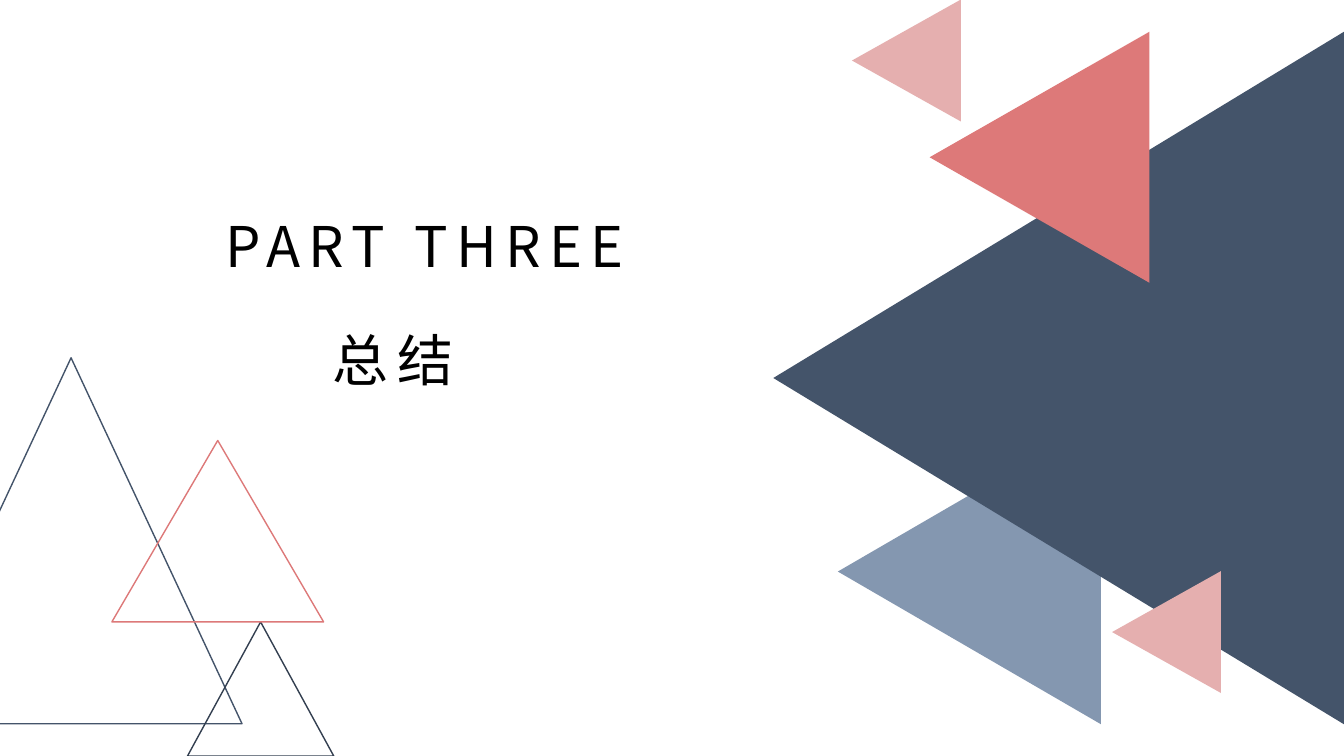
import pptx
import pptx.util
import pptx.dml.color
import pptx.enum.shapes
import pptx.enum.text
import pptx.oxml.ns
import lxml.etree

Inches = pptx.util.Inches
RGBColor = pptx.dml.color.RGBColor

NAVY = RGBColor(0x44, 0x54, 0x6A)
DARK_NAVY = RGBColor(0x33, 0x3F, 0x50)
STEEL = RGBColor(0x84, 0x97, 0xB0)
CORAL = RGBColor(0xDD, 0x79, 0x79)
BLUSH = RGBColor(0xE5, 0xAF, 0xAF)
BLACK = RGBColor(0, 0, 0)
FONT = "Noto Sans CJK SC"


def add_triangle(slide, left, top, width, height):
    triangle = slide.shapes.add_shape(
        pptx.enum.shapes.MSO_SHAPE.ISOSCELES_TRIANGLE,
        Inches(left), Inches(top), Inches(width), Inches(height))
    triangle.shadow.inherit = False
    return triangle


def add_filled_cluster(slide, left, top):
    """Solid triangles pointing left: tip x, middle y, base, depth, colour."""
    for tip, middle, base, depth, color in (
            (0.81, 5.67, 3.03, 2.61, STEEL),
            (0.17, 3.75, 6.87, 5.66, NAVY),
            (1.72, 1.56, 2.49, 2.18, CORAL),
            (0.95, 0.6, 1.21, 1.08, BLUSH),
            (3.53, 6.27, 1.21, 1.08, BLUSH)):
        # The frame is upright and turns about its centre
        triangle = add_triangle(slide, left + tip + (depth - base) / 2,
                                top + middle - depth / 2, base, depth)
        triangle.rotation = 270
        triangle.fill.solid()
        triangle.fill.fore_color.rgb = color
        triangle.line.fill.background()


def add_outline_cluster(slide, left, top):
    """Outlined triangles pointing up: x, y, width, height, colour."""
    for x, y, width, height, color in (
            (-0.99, 0, 3.39, 3.63, NAVY),
            (1.86, 2.62, 1.45, 1.33, DARK_NAVY),
            (1.11, 0.82, 2.1, 1.8, CORAL)):
        triangle = add_triangle(slide, left + x, top + y, width, height)
        triangle.fill.background()
        triangle.line.color.rgb = color
        triangle.line.width = pptx.util.Pt(1)


def fill_heading(placeholder, text, left, top, width, height):
    placeholder.left, placeholder.top = Inches(left), Inches(top)
    placeholder.width, placeholder.height = Inches(width), Inches(height)
    frame = placeholder.text_frame
    frame.word_wrap = True
    frame.auto_size = pptx.enum.text.MSO_AUTO_SIZE.NONE
    frame.vertical_anchor = pptx.enum.text.MSO_ANCHOR.TOP
    frame.margin_left = frame.margin_right = Inches(0.13)
    frame.margin_top = frame.margin_bottom = Inches(0.07)
    paragraph = frame.paragraphs[0]
    paragraph.alignment = pptx.enum.text.PP_ALIGN.LEFT
    paragraph.space_before = pptx.util.Pt(0)
    paragraph.line_spacing = 1.0
    run = paragraph.add_run()
    run.text = text
    run.font.name = FONT
    run.font.size = pptx.util.Pt(40)
    run.font.color.rgb = BLACK
    # Letter spacing and the East Asian typeface
    properties = run.font._element
    properties.set("spc", "600")
    east_asian = lxml.etree.SubElement(properties, pptx.oxml.ns.qn("a:ea"))
    east_asian.set("typeface", FONT)


def add_headings(slide, left, top):
    part_number, section_name = slide.placeholders
    fill_heading(part_number, "PART THREE", left, top, 4.87, 0.81)
    fill_heading(section_name, "总结", left + 1.06, top + 1.13, 1.71, 0.81)


def build_section_slide(deck):
    slide = deck.slides.add_slide(deck.slide_layouts[0])
    add_filled_cluster(slide, 7.5, 0)
    add_outline_cluster(slide, 0, 3.55)
    add_headings(slide, 2.11, 2.03)


deck = pptx.Presentation()
deck.slide_width, deck.slide_height = Inches(13.33), Inches(7.5)
build_section_slide(deck)
deck.save("out.pptx")
